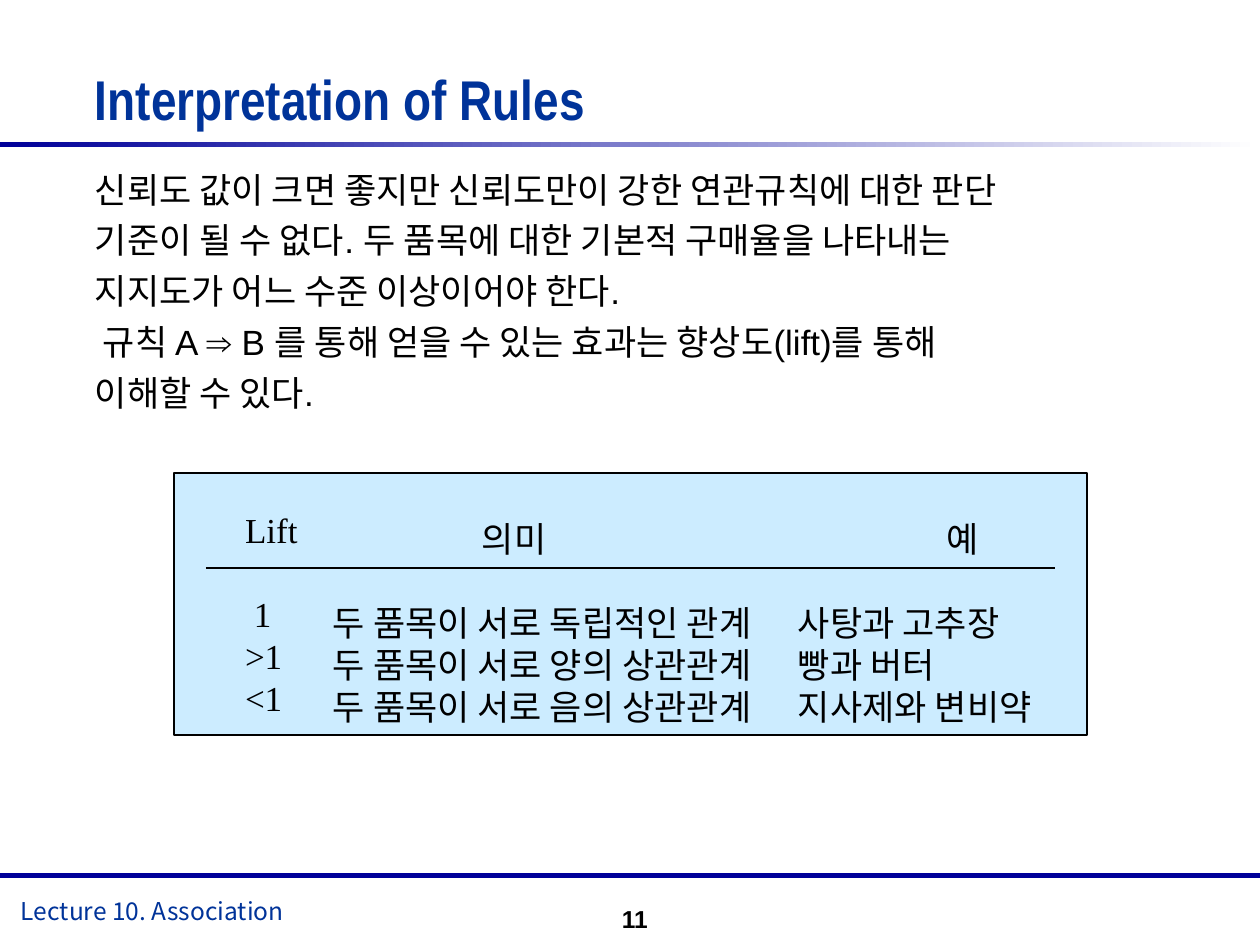
from lxml.etree import SubElement
from pptx import Presentation
from pptx.dml.color import RGBColor
from pptx.enum.shapes import MSO_CONNECTOR as Connector, MSO_SHAPE as Shape
from pptx.enum.text import MSO_ANCHOR as Anchor, PP_ALIGN as Align
from pptx.oxml.ns import qn
from pptx.util import Pt

PX = 914400 / 126
NAVY, BLUE, BLACK, WHITE, SKY = "000099", "003399", "000000", "FFFFFF", "CCECFF"
NO_STYLE = "{2D5ABB26-0587-4C30-8999-92F81FD0307C}"
BODY_LINES = [
    "신뢰도 값이 크면 좋지만 신뢰도만이 강한 연관규칙에 대한 판단",
    "기준이 될 수 없다. 두 품목에 대한 기본적 구매율을 나타내는",
    "지지도가 어느 수준 이상이어야 한다.",
    " 규칙 A ⇒ B 를 통해 얻을 수 있는 효과는 향상도(lift)를 통해",
    "이해할 수 있다.",
]
LIFT_ROWS = [
    ("Lift", "의미", "예"),
    ("1", "두 품목이 서로 독립적인 관계", "사탕과 고추장"),
    (">1", "두 품목이 서로 양의 상관관계", "빵과 버터"),
    ("<1", "두 품목이 서로 음의 상관관계", "지사제와 변비약"),
]
INDENTS = {(0, 1): 149, (0, 2): 149, (1, 0): 9}


def px(*lengths):
    """Turn pixel lengths into EMU."""
    return [round(length * PX) for length in lengths]


def color(value):
    """Turn a hex string into a colour."""
    return RGBColor.from_string(value)


def write(frame, lines, font="Arial", size=20, ink=BLACK, bold=False, align=Align.LEFT,
          inset=(0, 0, 0, 0), anchor=Anchor.TOP, wrap=True, gap=0, leading=None):
    """Fill a text frame with formatted paragraphs."""
    frame.word_wrap = wrap
    frame.vertical_anchor = anchor
    (frame.margin_left, frame.margin_top,
     frame.margin_right, frame.margin_bottom) = px(*inset)
    for index, line in enumerate(lines):
        paragraph = frame.add_paragraph() if index else frame.paragraphs[0]
        paragraph.alignment = align
        if index:
            paragraph.space_before = Pt(gap)
        if leading:
            paragraph.line_spacing = Pt(leading)
        run = paragraph.add_run()
        run.text = line
        run.font.name, run.font.size, run.font.bold = font, Pt(size), bold
        run.font.color.rgb = color(ink)


def add_text(slide, box, lines, **style):
    """Add a text box."""
    write(slide.shapes.add_textbox(*px(*box)).text_frame, lines, **style)


def add_bar(slide, box, fill, fade=None, border=None):
    """Add a rectangle with a plain fill or a fade to the right."""
    bar = slide.shapes.add_shape(Shape.RECTANGLE, *px(*box))
    bar.shadow.inherit = False
    if fade:
        bar.fill.gradient()
        bar.fill.gradient_angle = 0
        for stop, tone in zip(bar.fill.gradient_stops, (fill, fade)):
            stop.color.rgb = color(tone)
    else:
        bar.fill.solid()
        bar.fill.fore_color.rgb = color(fill)
    if border:
        bar.line.color.rgb = color(border)
        bar.line.width = Pt(0.75)
    else:
        bar.line.fill.background()


def add_heading(slide, left, top, width, height):
    """Place the title above its fading rule."""
    add_bar(slide, (left, top + 79, width, 5), NAVY, fade=WHITE)
    add_text(slide, (left + 95, top, width - 95, height), ["Interpretation of Rules"],
             font="Arial Narrow", size=32, ink=BLUE, bold=True, leading=39)


def add_footer(slide, left, top, width):
    """Place the bottom rule, lecture name and page number."""
    inset = (13, 6, 13, 6)
    add_bar(slide, (left, top, width, 5), NAVY)
    add_text(slide, (left + 8, top + 17, 420, 43), ["Lecture 10. Association"],
             font="Noto Sans CJK KR", size=14, ink=BLUE, inset=inset)
    add_text(slide, (left + 588, top + 19, 73, 53), ["11"], size=14, bold=True,
             align=Align.RIGHT, anchor=Anchor.MIDDLE, inset=inset, wrap=False)


def add_lift_panel(slide, left, top, width, height):
    """Place the lift table and its header rule on a panel."""
    add_bar(slide, (left, top, width, height), SKY, border=BLACK)
    widths, heights = (88, 465, 252), (84, 42, 42, 42)
    table = slide.shapes.add_table(
        len(heights), len(widths),
        *px(left + 71, top + 39, sum(widths), sum(heights))).table
    table.first_row = table.horz_banding = False
    table._tbl.tblPr.find(qn("a:tableStyleId")).text = NO_STYLE
    for column, size in zip(table.columns, px(*widths)):
        column.width = size
    for row, size in zip(table.rows, px(*heights)):
        row.height = size
    for r, texts in enumerate(LIFT_ROWS):
        for c, text in enumerate(texts):
            cell = table.cell(r, c)
            cell.fill.background()
            write(cell.text_frame, [text], font="Times New Roman")
            cell.vertical_anchor = Anchor.TOP
            (cell.margin_left, cell.margin_top,
             cell.margin_right, cell.margin_bottom) = px(INDENTS.get((r, c), 0), 0, 0, 0)
    rule = slide.shapes.add_connector(
        Connector.STRAIGHT, *px(left + 32, top + 95, left + width - 32, top + 95))
    rule.line.color.rgb = color(BLACK)
    rule.line.width = Pt(0.75)
    SubElement(rule._element.spPr, qn("a:effectLst"))


def main():
    """Build and save the slide."""
    deck = Presentation()
    deck.slide_width, deck.slide_height = px(1260, 945)
    slide = deck.slides.add_slide(deck.slide_layouts[6])
    add_heading(slide, 0, 63, 1260, 95)
    add_text(slide, (95, 168, 1081, 672), BODY_LINES, gap=5)
    add_lift_panel(slide, 174, 473, 913, 262)
    add_footer(slide, 0, 873, 1260)
    deck.save("out.pptx")


if __name__ == "__main__":
    main()
